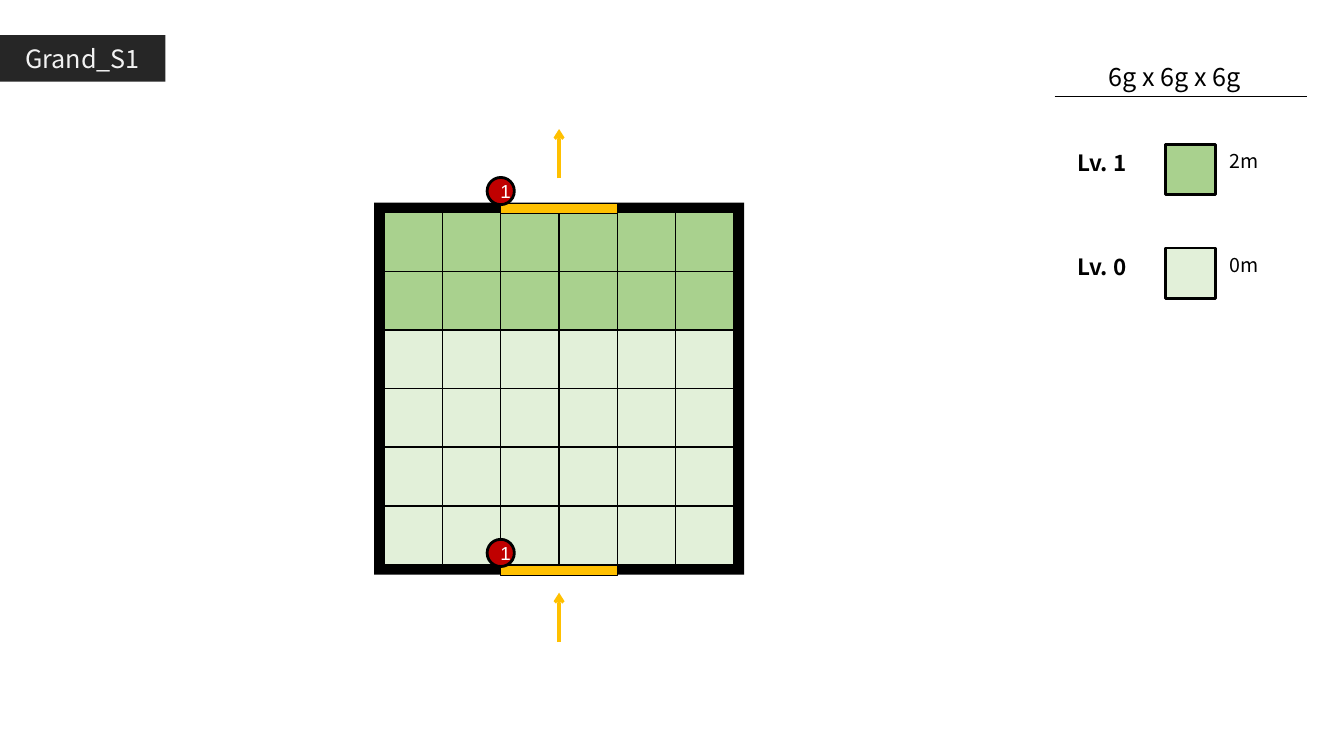
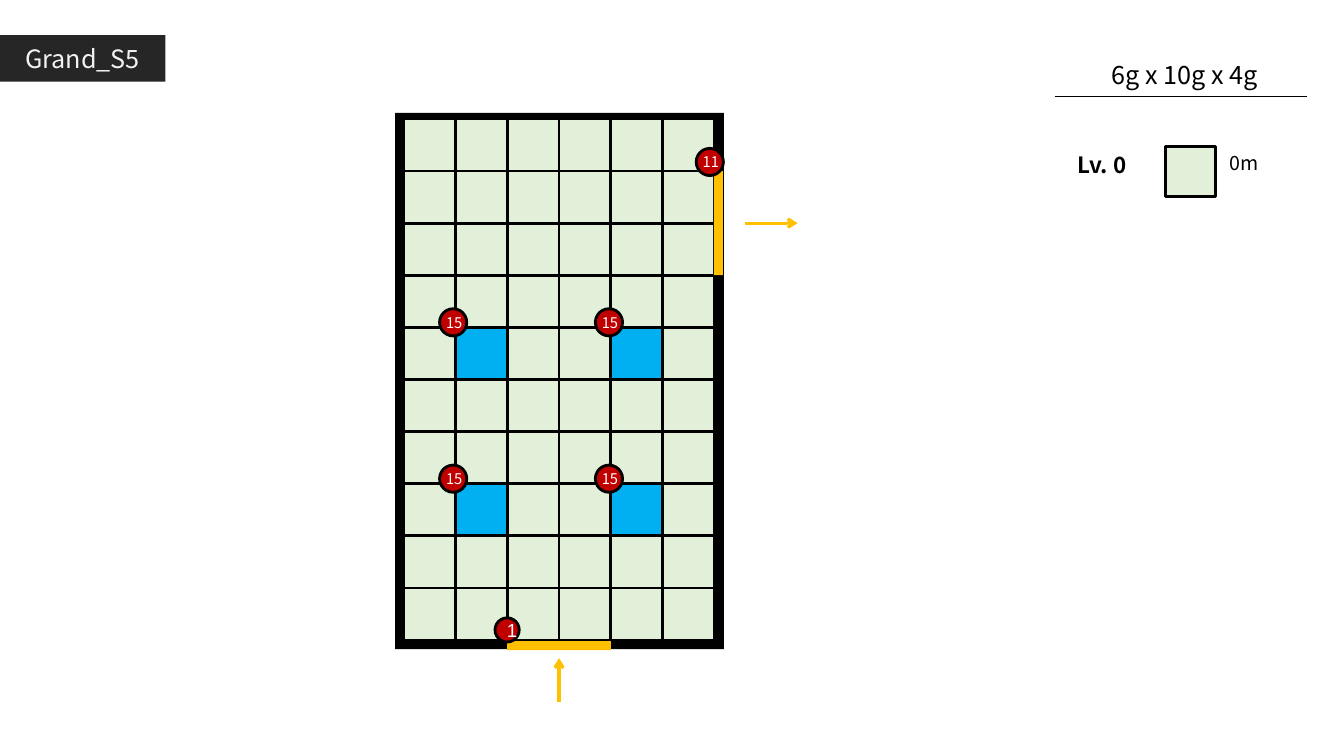
from dataclasses import dataclass
from itertools import product
from lxml.etree import SubElement
from pptx import Presentation
from pptx.dml.color import RGBColor
from pptx.enum.shapes import MSO_CONNECTOR, MSO_SHAPE
from pptx.enum.text import MSO_ANCHOR, PP_ALIGN
from pptx.oxml.ns import qn
from pptx.util import Inches, Pt

COLORS = {
    "ink": "000000", "band": "262626", "band_text": "F2F2F2", "white": "FFFFFF",
    "low": "E2F0D9", "high": "A9D18E", "pillar": "00B0F0",
    "door": "FFC000", "badge": "C00000",
}
FONT = "Noto Sans CJK KR"
BAND = (0, 0.35, 1.64, 0.46)
LEGEND = (10.46, 0.96, 2.5)


@dataclass
class Box:
    x: float
    y: float
    w: float
    h: float

    def inches(self):
        return [Inches(v) for v in (self.x, self.y, self.w, self.h)]


@dataclass
class Plan:
    wall: Box
    floor: Box
    cols: int
    rows: int
    line: float
    door_line: float
    door_depth: float

    def corner(self, col, row):
        return (self.floor.x + col * self.floor.w / self.cols,
                self.floor.y + row * self.floor.h / self.rows)

    def cell(self, col, row):
        return Box(*self.corner(col, row), self.floor.w / self.cols, self.floor.h / self.rows)


def rgb(name):
    return RGBColor.from_string(COLORS[name])


def add_block(s, box, fill, line=0, kind=MSO_SHAPE.RECTANGLE):
    sp = s.shapes.add_shape(kind, *box.inches())
    sp.shadow.inherit = False
    sp.fill.solid()
    sp.fill.fore_color.rgb = rgb(fill)
    if line:
        sp.line.color.rgb = rgb("ink")
        sp.line.width = Pt(line)
    else:
        sp.line.fill.background()
    return sp


def write(tf, text, size, color="ink", font=FONT, bold=False, align=PP_ALIGN.LEFT):
    p = tf.paragraphs[0]
    p.text = text
    p.alignment = align
    p.font.size = Pt(size)
    p.font.name = font
    p.font.bold = bold
    p.font.color.rgb = rgb(color)
    for r in p.runs:
        SubElement(r._r.get_or_add_rPr(), qn("a:ea")).set("typeface", font)


def add_text(s, box, text, size, **style):
    tf = s.shapes.add_textbox(*box.inches()).text_frame
    tf.word_wrap = True
    write(tf, text, size, **style)


def add_line(s, start, end, color, width, arrow=False):
    ends = [Inches(v) for v in (*start, *end)]
    cxn = s.shapes.add_connector(MSO_CONNECTOR.STRAIGHT, *ends)
    cxn.line.color.rgb = rgb(color)
    cxn.line.width = Pt(width)
    if arrow:
        SubElement(cxn.line._get_or_add_ln(), qn("a:tailEnd")).set("type", "arrow")
    SubElement(cxn._element.spPr, qn("a:effectLst"))


def add_band(s, text):
    tf = add_block(s, Box(*BAND), "band").text_frame
    tf.vertical_anchor = MSO_ANCHOR.MIDDLE
    write(tf, text, 18, "band_text", align=PP_ALIGN.CENTER)


def add_legend(s, size_text, title_at, first_top, levels):
    x, y, w = LEGEND
    add_line(s, (x, y), (x + w, y), "ink", 1)
    add_text(s, Box(*title_at, 2.2, 0.4), size_text, 18, align=PP_ALIGN.CENTER)
    for i, (label, fill, height) in enumerate(levels):
        top = first_top + i * 1.03
        add_block(s, Box(x + 1.1, top, 0.5, 0.5), fill, 2)
        add_text(s, Box(x + 0.13, top, 1.07, 0.36), label, 16, bold=True)
        add_text(s, Box(x + 1.64, top, 0.71, 0.33), height, 14)


def add_floor(s, plan, fill_of):
    add_block(s, plan.wall, "ink")
    for row, col in product(reversed(range(plan.rows)), range(plan.cols)):
        add_block(s, plan.cell(col, row), fill_of(col, row), plan.line)


def add_badge(s, cx, cy, text, d=0.27, size=10.5, font=FONT, nudge=0.02):
    box = Box(cx - d / 2, cy - d / 2, d, d)
    tf = add_block(s, box, "badge", 2, MSO_SHAPE.OVAL).text_frame
    tf.word_wrap = False
    tf.vertical_anchor = MSO_ANCHOR.MIDDLE
    tf.margin_left = Inches(nudge)
    tf.margin_right = tf.margin_top = tf.margin_bottom = 0
    write(tf, text, size, "white", font, align=PP_ALIGN.CENTER)


def add_door(s, plan, side, first, gap, length, badge_d=0.27):
    f, depth = plan.floor, plan.door_depth
    if side == "right":
        y, far = plan.corner(0, first)[1], plan.corner(0, first + 2)[1]
        box = Box(f.x + f.w - 0.01, y, depth, far - y)
        near = (f.x + f.w + gap, (y + far) / 2)
        away = (near[0] + length, near[1])
    else:
        x, far = plan.corner(first, 0)[0], plan.corner(first + 2, 0)[0]
        edge, sign = (f.y, -1) if side == "top" else (f.y + f.h, 1)
        top = edge + 0.01 - (depth if side == "top" else 0)
        box = Box(x, top, far - x, depth)
        near = ((x + far) / 2, edge + sign * gap)
        away = (near[0], near[1] + sign * length)
    add_block(s, box, "door", plan.door_line)
    start, end = (away, near) if side == "bottom" else (near, away)
    add_line(s, start, end, "door", 2.25, arrow=True)
    if side == "right":
        add_badge(s, box.x - 0.04, box.y - 0.09, "11")
    else:
        add_badge(s, box.x, box.y - 0.46 * badge_d, "1", badge_d, 13.4, "Arial", 0.1)


def add_s1(s):
    add_legend(s, "6g x 6g x 6g", (10.55, 0.56), 1.43,
               [("Lv. 1", "high", "2m"), ("Lv. 0", "low", "0m")])
    add_band(s, "Grand_S1")
    plan = Plan(Box(3.71, 2.01, 3.67, 3.69), Box(3.81, 2.11, 3.47, 3.49), 6, 6, 1, 1, 0.1)
    add_floor(s, plan, lambda col, row: "high" if row < 2 else "low")
    add_door(s, plan, "top", 2, 0.34, 0.49)
    add_door(s, plan, "bottom", 2, 0.28, 0.49)


def add_s5(s):
    add_legend(s, "6g x 10g x 4g", (10.65, 0.54), 1.45, [("Lv. 0", "low", "0m")])
    add_band(s, "Grand_S5")
    plan = Plan(Box(3.92, 1.12, 3.26, 5.32), Box(4, 1.18, 3.09, 5.17), 6, 10, 2, 0, 0.09)
    pillars = list(product((1, 4), (4, 7)))
    add_floor(s, plan, lambda col, row: "pillar" if (col, row) in pillars else "low")
    add_door(s, plan, "bottom", 2, 0.18, 0.43, 0.24)
    add_door(s, plan, "right", 1, 0.3, 0.52)
    for pillar in pillars:
        x, y = plan.corner(*pillar)
        add_badge(s, x - 0.02, y - 0.05, "15")


prs = Presentation()
prs.slide_width, prs.slide_height = Inches(13.33), Inches(7.5)
for build in (add_s1, add_s5):
    build(prs.slides.add_slide(prs.slide_layouts[6]))
prs.save("out.pptx")
